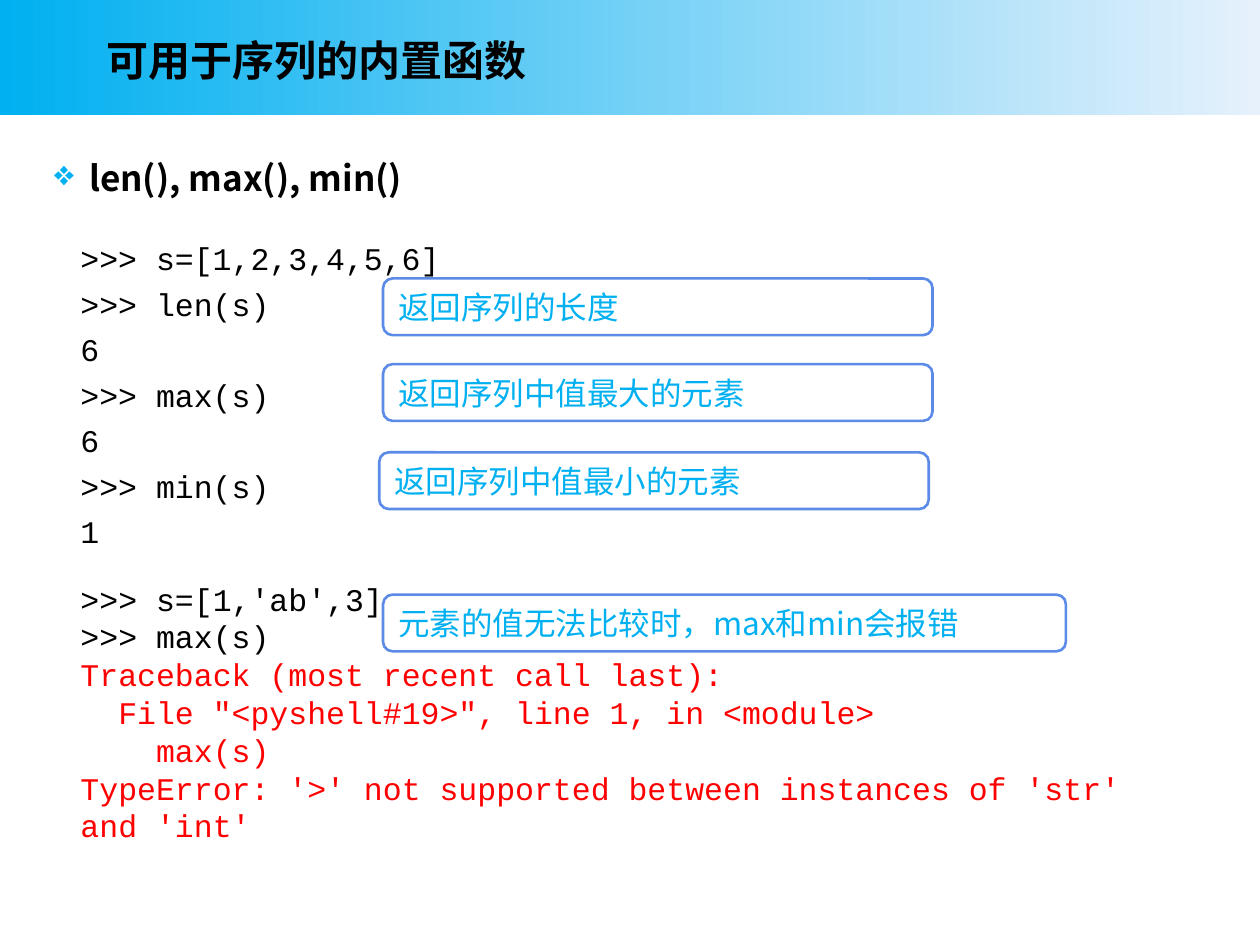
from lxml import etree
from pptx import Presentation
from pptx.dml.color import RGBColor
from pptx.enum.shapes import MSO_SHAPE
from pptx.enum.text import MSO_ANCHOR, MSO_AUTO_SIZE, PP_ALIGN
from pptx.oxml.ns import qn
from pptx.util import Pt

RECTANGLE, ROUNDED = MSO_SHAPE.RECTANGLE, MSO_SHAPE.ROUNDED_RECTANGLE
TOP, MIDDLE = MSO_ANCHOR.TOP, MSO_ANCHOR.MIDDLE
GROW, FIXED = MSO_AUTO_SIZE.SHAPE_TO_FIT_TEXT, MSO_AUTO_SIZE.NONE
LEFT = PP_ALIGN.LEFT

# Content
TITLE = "可用于序列的内置函数"
HEADING = "len(), max(), min()"
BASIC_CODE = [">>> s=[1,2,3,4,5,6]", ">>> len(s)", "6", ">>> max(s)", "6",
              ">>> min(s)", "1"]
ERROR_CODE = [">>> s=[1,'ab',3]", ">>> max(s)"]
ERROR_OUTPUT = [
    "Traceback (most recent call last):",
    '  File "<pyshell#19>", line 1, in <module>',
    "    max(s)",
    "TypeError: '>' not supported between instances of 'str' and 'int'",
]
CALLOUTS = [  # text, left, top, width
    ("返回序列的长度", 218.9, 159.1, 314),
    ("返回序列中值最大的元素", 218.9, 208.1, 314),
    ("返回序列中值最小的元素", 216.7, 258.5, 314),
    ("元素的值无法比较时，max和min会报错", 218.9, 339.8, 390.2),
]

# Theme
SANS, MONO = "Noto Sans CJK SC", "Courier New"
ACCENT, PALE, OUTLINE, WHITE, BLACK, RED = map(
    RGBColor.from_string,
    ("00B0F0", "E6F1FC", "5C8AE7", "FFFFFF", "000000", "FF0000"))
THEME = {
    "title": {"name": SANS, "size": Pt(24), "bold": True, "color": BLACK},
    "heading": {"name": SANS, "size": Pt(20), "bold": True, "color": BLACK},
    "code": {"name": MONO, "size": Pt(18), "bold": False, "color": BLACK},
    "error": {"name": MONO, "size": Pt(18), "bold": False, "color": RED},
    "callout": {"name": SANS, "size": Pt(18), "bold": False, "color": ACCENT},
}
SLIDE_WIDTH, SLIDE_HEIGHT, BANNER_HEIGHT = 720, 540, 66
CODE_LEFT, CALLOUT_HEIGHT = 38.9, 32.4


def write_lines(shape, lines, anchor=TOP, auto_size=FIXED, spacing=None):
    """Fill a shape with (text, style name) paragraphs."""
    frame = shape.text_frame
    frame.word_wrap = True
    frame.vertical_anchor = anchor
    frame.auto_size = auto_size
    for index, (text, style) in enumerate(lines):
        paragraph = frame.paragraphs[0] if index == 0 else frame.add_paragraph()
        paragraph.alignment = LEFT
        if spacing:
            paragraph.line_spacing = spacing
        run = paragraph.add_run()
        run.text = text
        for key, value in THEME[style].items():
            if key == "color":
                run.font.color.rgb = value
            else:
                setattr(run.font, key, value)
        east_asian = etree.SubElement(run.font._element, qn("a:ea"))
        east_asian.set("typeface", THEME[style]["name"])


def add_text(slide, box, lines, **options):
    shape = slide.shapes.add_textbox(*map(Pt, box))
    write_lines(shape, lines, **options)
    return shape


def add_bullet(paragraph, character, color, indent):
    properties = paragraph._p.get_or_add_pPr()
    properties.set("marL", str(indent))
    properties.set("indent", str(-indent))
    bullet_color = etree.SubElement(properties, qn("a:buClr"))
    etree.SubElement(bullet_color, qn("a:srgbClr")).set("val", str(color))
    etree.SubElement(properties, qn("a:buChar")).set("char", character)


def add_banner(slide):
    banner = slide.shapes.add_shape(
        RECTANGLE, 0, 0, Pt(SLIDE_WIDTH), Pt(BANNER_HEIGHT))
    banner.shadow.inherit = False
    banner.line.fill.background()
    banner.fill.gradient()
    banner.fill.gradient_angle = 0
    for stop, color in zip(banner.fill.gradient_stops, (ACCENT, PALE)):
        stop.color.rgb = color


def add_callout(slide, text, left, top, width):
    callout = slide.shapes.add_shape(
        ROUNDED, Pt(left), Pt(top), Pt(width), Pt(CALLOUT_HEIGHT))
    callout.shadow.inherit = False
    callout.fill.solid()
    callout.fill.fore_color.rgb = WHITE
    callout.line.color.rgb = OUTLINE
    callout.line.width = Pt(1.5)
    write_lines(callout, [(text, "callout")], anchor=MIDDLE, auto_size=GROW)


def main():
    presentation = Presentation()
    presentation.slide_width = Pt(SLIDE_WIDTH)
    presentation.slide_height = Pt(SLIDE_HEIGHT)
    slide = presentation.slides.add_slide(presentation.slide_layouts[6])

    # Banner, title and heading
    add_banner(slide)
    heading = add_text(slide, (23.8, 85.7, 666, 34.6), [(HEADING, "heading")])
    add_bullet(heading.text_frame.paragraphs[0], "❖", ACCENT, Pt(20))
    add_text(slide, (54, 10.1, 586, 48.2), [(TITLE, "title")], anchor=MIDDLE)

    # Code listings
    add_text(slide, (CODE_LEFT, 128.9, 360, 190.8),
             [(line, "code") for line in BASIC_CODE],
             auto_size=GROW, spacing=Pt(26))
    add_text(slide, (CODE_LEFT, 327.6, 617.8, 159.8),
             [(line, "code") for line in ERROR_CODE]
             + [(line, "error") for line in ERROR_OUTPUT], auto_size=GROW)

    # Callouts beside the code
    for callout in CALLOUTS:
        add_callout(slide, *callout)

    presentation.save("out.pptx")


if __name__ == "__main__":
    main()
